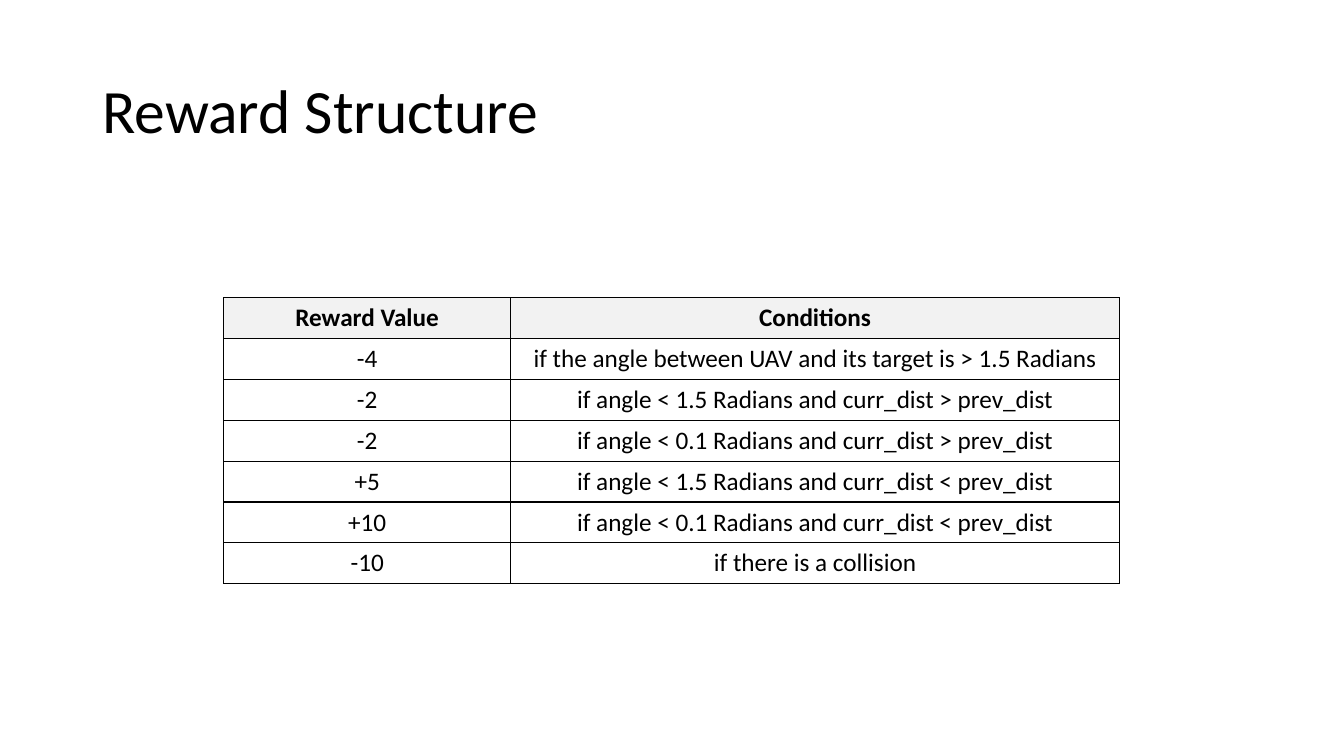
from lxml.etree import SubElement
from pptx import Presentation
from pptx.dml.color import RGBColor
from pptx.enum.text import MSO_ANCHOR, PP_ALIGN
from pptx.oxml.ns import qn
from pptx.util import Cm, Pt

COLORS = {"text": "000000", "border": "000000", "header": "F2F2F2"}
FONT = "Calibri"
REWARDS = [
    ("Reward Value", "Conditions"),
    ("-4", "if the angle between UAV and its target is > 1.5 Radians"),
    ("-2", "if angle < 1.5 Radians and curr_dist > prev_dist"),
    ("-2", "if angle < 0.1 Radians and curr_dist > prev_dist"),
    ("+5", "if angle < 1.5 Radians and curr_dist < prev_dist"),
    ("+10", "if angle < 0.1 Radians and curr_dist < prev_dist"),
    ("-10", "if there is a collision"),
]


def set_font(p, size, bold=False):
    p.font.name = FONT
    p.font.size = Pt(size)
    p.font.bold = bold
    p.font.color.rgb = RGBColor.from_string(COLORS["text"])


def add_borders(cell, width):
    tcPr = cell._tc.get_or_add_tcPr()
    for side in ("lnL", "lnR", "lnT", "lnB"):
        ln = SubElement(tcPr, qn(f"a:{side}"), w=str(Pt(width)))
        fill = SubElement(ln, qn("a:solidFill"))
        SubElement(fill, qn("a:srgbClr"), val=COLORS["border"])


def add_title(s, text, left, top, width, height):
    sp = s.shapes.add_textbox(Cm(left), Cm(top), Cm(width), Cm(height))
    tf = sp.text_frame
    tf.word_wrap = True
    tf.vertical_anchor = MSO_ANCHOR.MIDDLE
    p = tf.paragraphs[0]
    p.text = text
    p.line_spacing = 0.9
    set_font(p, 44)


def add_reward_table(s, rows, left, top, width, height, value_share=0.32):
    frame = s.shapes.add_table(len(rows), 2, Cm(left), Cm(top), Cm(width), Cm(height))
    table = frame.table
    table.horz_banding = False
    table.columns[0].width = Cm(width * value_share)
    table.columns[1].width = Cm(width * (1 - value_share))
    for i, row in enumerate(rows):
        for j, text in enumerate(row):
            cell = table.cell(i, j)
            add_borders(cell, 1)
            if i == 0:
                cell.fill.solid()
                cell.fill.fore_color.rgb = RGBColor.from_string(COLORS["header"])
            else:
                cell.fill.background()
            p = cell.text_frame.paragraphs[0]
            p.text = text
            p.alignment = PP_ALIGN.CENTER
            set_font(p, 18, bold=i == 0)


def main():
    prs = Presentation()
    prs.slide_width, prs.slide_height = Cm(33.87), Cm(19.05)
    s = prs.slides.add_slide(prs.slide_layouts[6])
    add_title(s, "Reward Structure", 2.33, 1.01, 29.21, 3.68)
    add_reward_table(s, REWARDS, 5.64, 7.5, 22.58, 7.21)
    prs.save("out.pptx")


if __name__ == "__main__":
    main()
